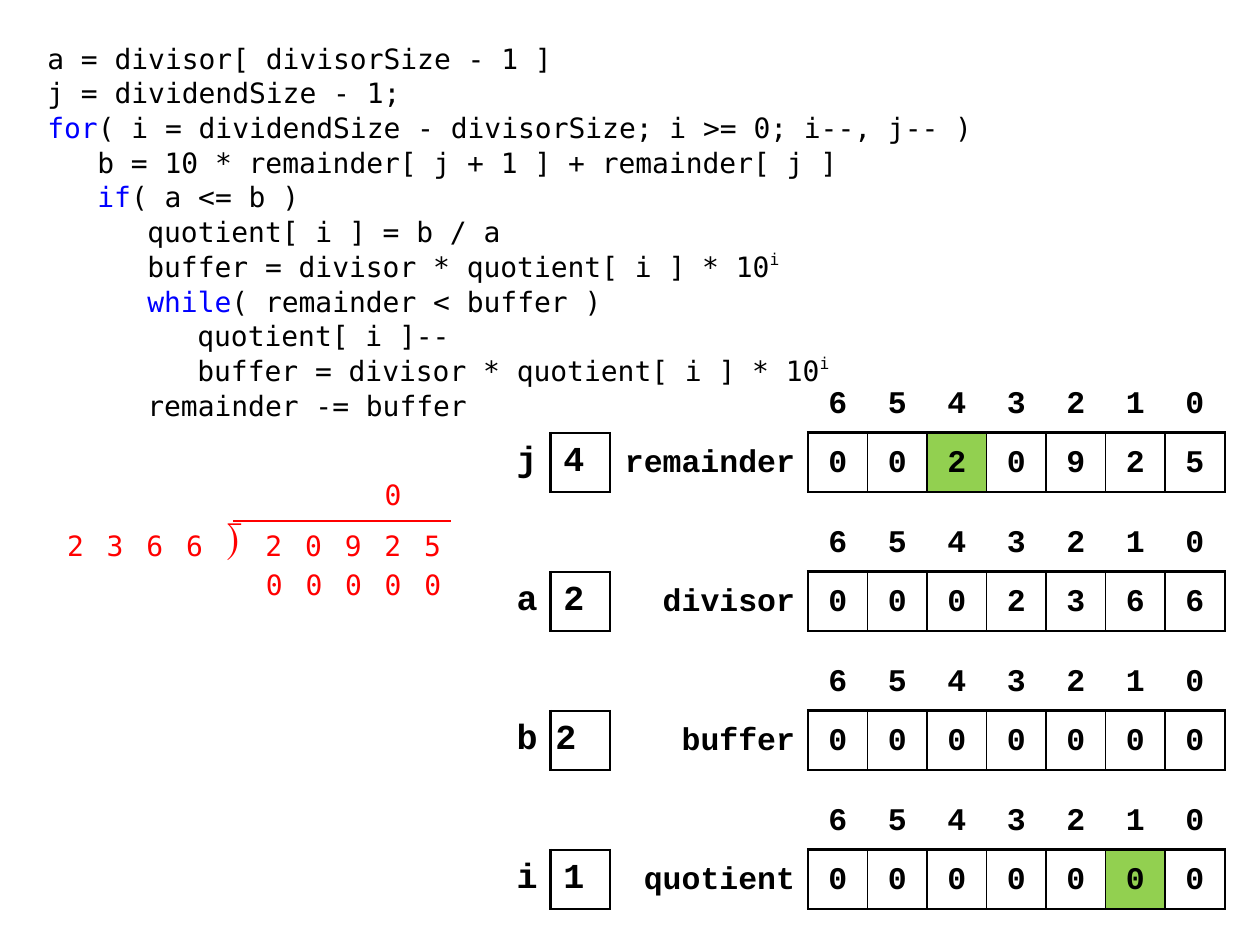
"""Build the long division slide: pseudocode, worked division and digit arrays."""
from pptx import Presentation
from pptx.dml.color import RGBColor as RGB
from pptx.enum.shapes import MSO_CONNECTOR as CONN
from pptx.enum.text import MSO_ANCHOR as ANCHOR, PP_ALIGN as ALIGN
from pptx.oxml import parse_xml
from pptx.oxml.ns import nsdecls
from pptx.util import Pt

PX = 914400 / 126
COLORS = {"text": "000000", "keyword": "0000FF", "working": "FF0000",
          "cell": "FFFFFF", "active": "92D050"}
CODE_FONT, ARRAY_FONT, BRACKET_FONT = "DejaVu Sans Mono", "Courier New", "Cambria"
NO_STYLE = "{2D5ABB26-0587-4C30-8999-92F81FD0307C}"

CODE = [
    (0, [("a = divisor[ divisorSize - 1 ]", "")]),
    (0, [("j = dividendSize - 1;", "")]),
    (0, [("for", "keyword"), ("( i = dividendSize - divisorSize; i >= 0; i--, j-- )", "")]),
    (1, [("b = 10 * remainder[ j + 1 ] + remainder[ j ]", "")]),
    (1, [("if", "keyword"), ("( a <= b )", "")]),
    (2, [("quotient[ i ] = b / a", "")]),
    (2, [("buffer = divisor * quotient[ i ] * 10", ""), ("i", "super")]),
    (2, [("while", "keyword"), ("( remainder < buffer )", "")]),
    (3, [("quotient[ i ]--", "")]),
    (3, [("buffer = divisor * quotient[ i ] * 10", ""), ("i", "super")]),
    (2, [("remainder -= buffer", "")]),
]
ARRAYS = [
    ("j", "4", 13, "remainder", "0020925", 2),
    ("a", "2", 13, "divisor", "0002366", None),
    ("b", "2", 5, "buffer", "0000000", None),
    ("i", "1", 13, "quotient", "0000000", 5),
]


def px(n):
    return round(n * PX)


class Deck:
    def __init__(self):
        self.prs = Presentation()
        self.prs.slide_width, self.prs.slide_height = px(1260), px(945)
        self.s = self.prs.slides.add_slide(self.prs.slide_layouts[6])

    def font(self, p, name, size, color="text", bold=False):
        f = p.font
        f.name, f.size, f.bold = name, Pt(size), bold
        f.color.rgb = RGB.from_string(COLORS[color])

    def code(self, x, y, w, h, lines):
        tf = self.s.shapes.add_textbox(px(x), px(y), px(w), px(h)).text_frame
        tf.word_wrap = True
        for n, (level, runs) in enumerate(lines):
            p = tf.add_paragraph() if n else tf.paragraphs[0]
            self.font(p, CODE_FONT, 16)
            p.space_before = Pt(0.6)
            p._p.get_or_add_pPr().set("marL", str(px(50 * level)))
            for text, kind in runs:
                r = p.add_run()
                r.text = text
                if kind == "keyword":
                    r.font.color.rgb = RGB.from_string(COLORS[kind])
                elif kind == "super":
                    r._r.get_or_add_rPr().set("baseline", "44000")

    def line(self, x1, y1, x2, y2, color):
        c = self.s.shapes.add_connector(CONN.STRAIGHT, px(x1), px(y1), px(x2), px(y2))
        c.line.color.rgb = RGB.from_string(COLORS[color])
        c.line.width = Pt(1.5)
        c._element.spPr.append(parse_xml(f"<a:effectLst {nsdecls('a')}/>"))

    def table(self, x, y, w, h, rows, cols, first=None):
        t = self.s.shapes.add_table(rows, cols, px(x), px(y), px(w), px(h)).table
        t.first_row = t.horz_banding = False
        t._tbl.tblPr[0].text = NO_STYLE
        for row in t.rows:
            row.height = px(h / rows)
        for col in t.columns:
            col.width = px((w - first) / (cols - 1) if first else w / cols)
        if first:
            t.columns[0].width = px(first)
        for cell in t.iter_cells():
            cell.fill.background()
        return t

    def cell(self, cell, text, name, size, align=ALIGN.CENTER, color="text",
             bold=False, spacing=1.25, anchor=ANCHOR.TOP, side=13, top=5):
        cell.margin_left = cell.margin_right = px(side)
        cell.margin_top = cell.margin_bottom = px(top)
        cell.vertical_anchor = anchor
        p = cell.text_frame.paragraphs[0]
        p.alignment, p.line_spacing = align, spacing
        self.font(p, name, size, color, bold)
        p.add_run().text = text

    def border(self, cell, left=1.5, right=1.5, top=1.5, bottom=1.5):
        sides = zip("LRTB", (left, right, top, bottom))
        for n, (side, width) in enumerate(sides):
            cell._tc.get_or_add_tcPr().insert(n, parse_xml(
                f'<a:ln{side} {nsdecls("a")} w="{Pt(width)}"><a:solidFill>'
                f'<a:srgbClr val="{COLORS["text"]}"/></a:solidFill></a:ln{side}>'))

    def array(self, x, y, label, digits, active):
        count = len(digits)
        t = self.table(x, y, 615, 119, 2, count + 1, first=198)
        self.cell(t.cell(1, 0), label, ARRAY_FONT, 18, ALIGN.RIGHT, bold=True)
        for n, digit in enumerate(digits):
            index, value = t.cell(0, n + 1), t.cell(1, n + 1)
            self.cell(index, str(count - 1 - n), ARRAY_FONT, 18, bold=True)
            self.cell(value, digit, ARRAY_FONT, 18, bold=True)
            value.fill.solid()
            value.fill.fore_color.rgb = RGB.from_string(
                COLORS["active" if n == active else "cell"])
            self.border(value, left=1 if n else 1.5, right=1 if n < count - 1 else 1.5)

    def variable(self, x, y, name, value, side):
        t = self.table(x, y, 119, 59, 1, 2)
        style = dict(bold=True, spacing=1.0, anchor=ANCHOR.MIDDLE)
        self.cell(t.cell(0, 0), name, ARRAY_FONT, 20, ALIGN.RIGHT, **style)
        self.cell(t.cell(0, 1), value, ARRAY_FONT, 20, ALIGN.LEFT, side=side, **style)
        self.border(t.cell(0, 1))

    def working(self, x, y, w, digits, anchor=ANCHOR.MIDDLE):
        t = self.table(x, y, w, 59, 1, len(digits))
        for n, digit in enumerate(digits):
            bracket = digit == "⟌"
            if digit != " ":
                self.cell(t.cell(0, n), digit, BRACKET_FONT if bracket else CODE_FONT,
                          22 if bracket else 16, color="working", top=0,
                          anchor=ANCHOR.TOP if bracket else anchor)


def main():
    d = Deck()
    d.code(35, 35, 1032, 377, CODE)
    for n, (name, value, side, label, digits, active) in enumerate(ARRAYS):
        y = 373 + 139 * n
        d.array(610, y, label, digits, active)
        d.variable(491, y + 60, name, value, side)
    d.working(54, 513, 397, "2366⟌20925")
    d.line(233, 521, 451, 521, "working")
    d.working(253, 552, 198, "00000")
    d.working(253, 472, 198, "   0 ", ANCHOR.TOP)
    d.prs.save("out.pptx")


if __name__ == "__main__":
    main()
